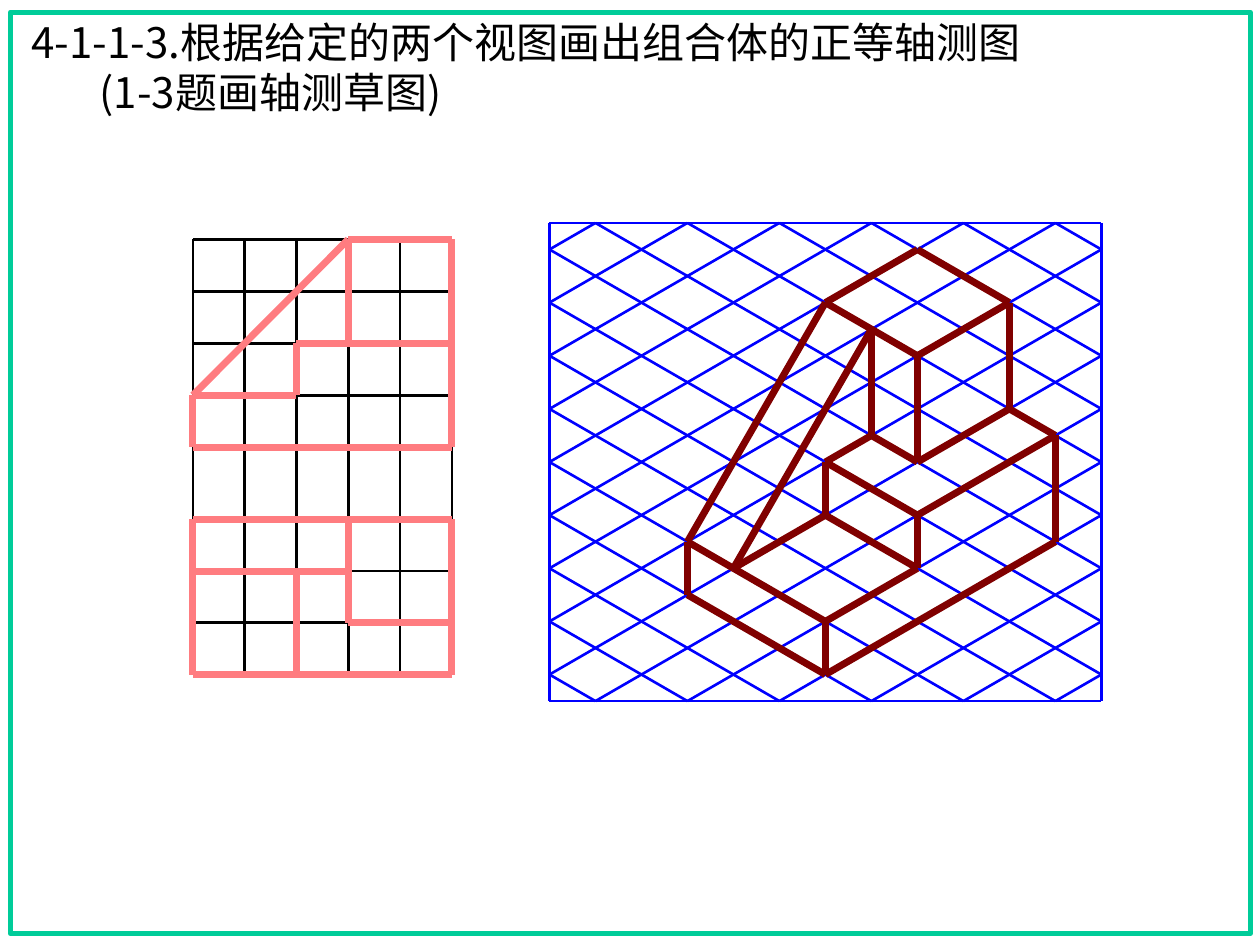
from dataclasses import dataclass

from lxml.etree import SubElement
from pptx import Presentation
from pptx.dml.color import RGBColor
from pptx.enum.shapes import MSO_CONNECTOR as Connector, MSO_SHAPE as Preset
from pptx.enum.text import MSO_ANCHOR as Anchor, MSO_AUTO_SIZE as AutoSize, PP_ALIGN as Align
from pptx.oxml.ns import qn
from pptx.util import Pt

COLORS = {
    "frame": "00CC99",
    "text": "000000",
    "square_grid": "000000",
    "iso_grid": "0000FF",
    "view": "FF7C80",
    "solid": "800000",
}
FONT = "Noto Sans CJK SC"
GRID_WIDTH, EDGE_WIDTH = 1.5, 4

Node = tuple[int, int]
Edge = tuple[Node, Node]


@dataclass(frozen=True)
class Lattice:
    """Maps (column, row) nodes to points on the slide."""
    left: float
    top: float
    step_x: float
    step_y: float
    columns: int
    rows: int

    def at(self, node: Node) -> tuple[Pt, Pt]:
        column, row = node
        return Pt(self.left + column * self.step_x), Pt(self.top + row * self.step_y)


FRONT_VIEW = Lattice(110.2, 136.8, 29.6, 29.7, columns=5, rows=4)
TOP_VIEW = Lattice(110.2, 296.7, 29.6, 29.6, columns=5, rows=3)
ISOMETRIC = Lattice(314, 127.4, 26.28, 15.18, columns=12, rows=18)

FRONT_EDGES: list[Edge] = [
    ((3, 0), (5, 0)), ((5, 0), (5, 2)), ((5, 2), (5, 4)), ((0, 4), (5, 4)),
    ((0, 3), (0, 4)), ((3, 0), (0, 3)), ((0, 3), (2, 3)), ((2, 2), (2, 3)),
    ((2, 2), (5, 2)), ((3, 0), (3, 2)),
]
TOP_EDGES: list[Edge] = [
    ((0, 0), (3, 0)), ((3, 0), (5, 0)), ((5, 0), (5, 2)), ((5, 2), (5, 3)),
    ((2, 3), (5, 3)), ((0, 3), (2, 3)), ((0, 1), (0, 3)), ((0, 0), (0, 1)),
    ((0, 1), (3, 1)), ((2, 1), (2, 3)), ((3, 0), (3, 2)), ((3, 2), (5, 2)),
]
BASE_EDGES: list[Edge] = [
    ((6, 17), (11, 12)), ((11, 12), (11, 8)), ((11, 8), (8, 11)),
    ((8, 11), (8, 13)), ((8, 13), (6, 15)), ((6, 15), (6, 17)),
    ((8, 11), (6, 9)), ((6, 17), (3, 14)), ((4, 13), (6, 11)),
    ((8, 13), (6, 11)), ((6, 15), (4, 13)), ((6, 9), (6, 11)),
    ((3, 12), (3, 14)), ((3, 12), (4, 13)), ((7, 8), (6, 9)),
    ((7, 8), (8, 9)), ((10, 7), (11, 8)),
]
TOWER_EDGES: list[Edge] = [
    ((10, 3), (8, 5)), ((10, 7), (10, 3)), ((8, 9), (8, 5)),
    ((10, 7), (8, 9)), ((8, 5), (6, 3)), ((10, 3), (8, 1)),
    ((8, 1), (6, 3)), ((4, 13), (7, 4)), ((3, 12), (6, 3)),
    ((7, 8), (7, 4)),
]


def color(key: str) -> RGBColor:
    return RGBColor.from_string(COLORS[key])


def write(paragraph, text: str, *, size: float, key: str, pitch: float, indent: float = 0) -> None:
    paragraph.alignment = Align.LEFT
    paragraph.line_spacing = Pt(pitch)
    if indent:
        paragraph._p.get_or_add_pPr().set("marL", str(Pt(indent)))
    run = paragraph.add_run()
    run.text = text
    run.font.size = Pt(size)
    run.font.name = FONT
    run.font.color.rgb = color(key)
    SubElement(run._r.get_or_add_rPr(), qn("a:ea")).set("typeface", FONT)


def add_line(slide, start: tuple[Pt, Pt], end: tuple[Pt, Pt], key: str, width: float) -> None:
    line = slide.shapes.add_connector(Connector.STRAIGHT, *start, *end)
    line.line.color.rgb = color(key)
    line.line.width = Pt(width)
    SubElement(line._element.spPr, qn("a:effectLst"))


def add_edges(slide, lattice: Lattice, edges: list[Edge], key: str, width: float) -> None:
    for start, end in edges:
        add_line(slide, lattice.at(start), lattice.at(end), key, width)


def add_square_grid(slide) -> None:
    """Columns run through both views; each view has its own rows."""
    for view in (FRONT_VIEW, TOP_VIEW):
        rows = [((0, row), (view.columns, row)) for row in range(view.rows + 1)]
        add_edges(slide, view, rows, "square_grid", GRID_WIDTH)
    for column in range(FRONT_VIEW.columns + 1):
        add_line(slide, FRONT_VIEW.at((column, 0)), TOP_VIEW.at((column, TOP_VIEW.rows)),
                 "square_grid", GRID_WIDTH)


def isometric_grid(columns: int, rows: int) -> list[Edge]:
    """Border and both families of diagonals, clipped to the border."""
    lines = [
        ((0, 0), (columns, 0)), ((0, rows), (columns, rows)),
        ((0, 0), (0, rows)), ((columns, 0), (columns, rows)),
    ]
    for total in range(1, columns + rows, 2):
        first, last = max(0, total - rows), min(columns, total)
        lines.append(((first, total - first), (last, total - last)))
        # Mirroring the rows turns a rising diagonal into a falling one.
        lines.append(((first, rows - total + first), (last, rows - total + last)))
    return lines


def add_title(slide) -> None:
    title = slide.shapes.title
    title.left, title.top, title.width, title.height = Pt(10.8), Pt(20), Pt(696), Pt(36)
    frame = title.text_frame
    frame.auto_size = AutoSize.NONE
    frame.word_wrap = True
    frame.vertical_anchor = Anchor.MIDDLE
    style = dict(size=24, key="text", pitch=29)
    write(frame.paragraphs[0], "4-1-1-3.根据给定的两个视图画出组合体的正等轴测图", **style)
    write(frame.add_paragraph(), "(1-3题画轴测草图)", indent=39, **style)


def add_frame(slide) -> None:
    border = slide.shapes.add_shape(Preset.RECTANGLE, Pt(6), Pt(7), Pt(708.5), Pt(526.5))
    border.shadow.inherit = False
    border.fill.background()
    border.line.color.rgb = color("frame")
    border.line.width = Pt(3)


def main() -> None:
    deck = Presentation()
    deck.slide_width, deck.slide_height = Pt(720), Pt(540)
    slide = deck.slides.add_slide(deck.slide_layouts[5])
    add_frame(slide)
    add_title(slide)
    add_square_grid(slide)
    add_edges(slide, ISOMETRIC, isometric_grid(ISOMETRIC.columns, ISOMETRIC.rows),
              "iso_grid", GRID_WIDTH)
    add_edges(slide, FRONT_VIEW, FRONT_EDGES, "view", EDGE_WIDTH)
    add_edges(slide, TOP_VIEW, TOP_EDGES, "view", EDGE_WIDTH)
    add_edges(slide, ISOMETRIC, BASE_EDGES + TOWER_EDGES, "solid", EDGE_WIDTH)
    deck.save("out.pptx")


if __name__ == "__main__":
    main()
